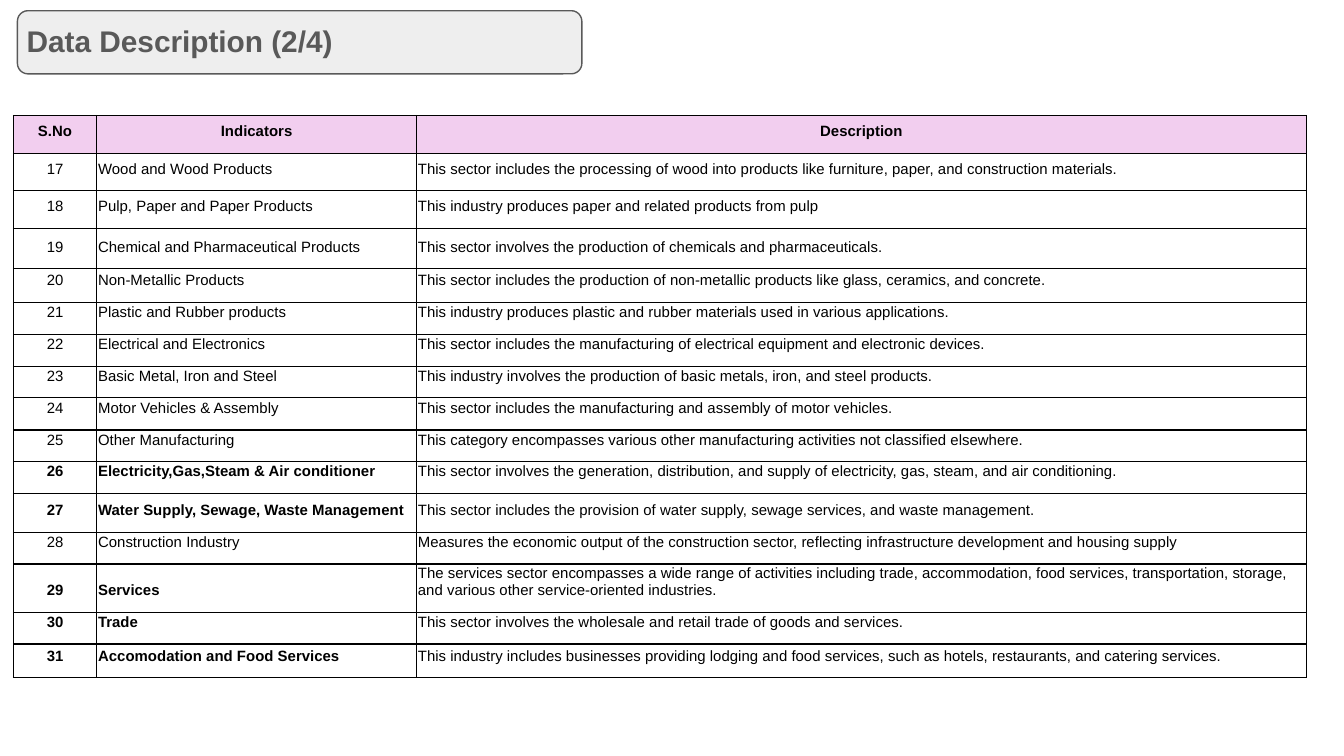
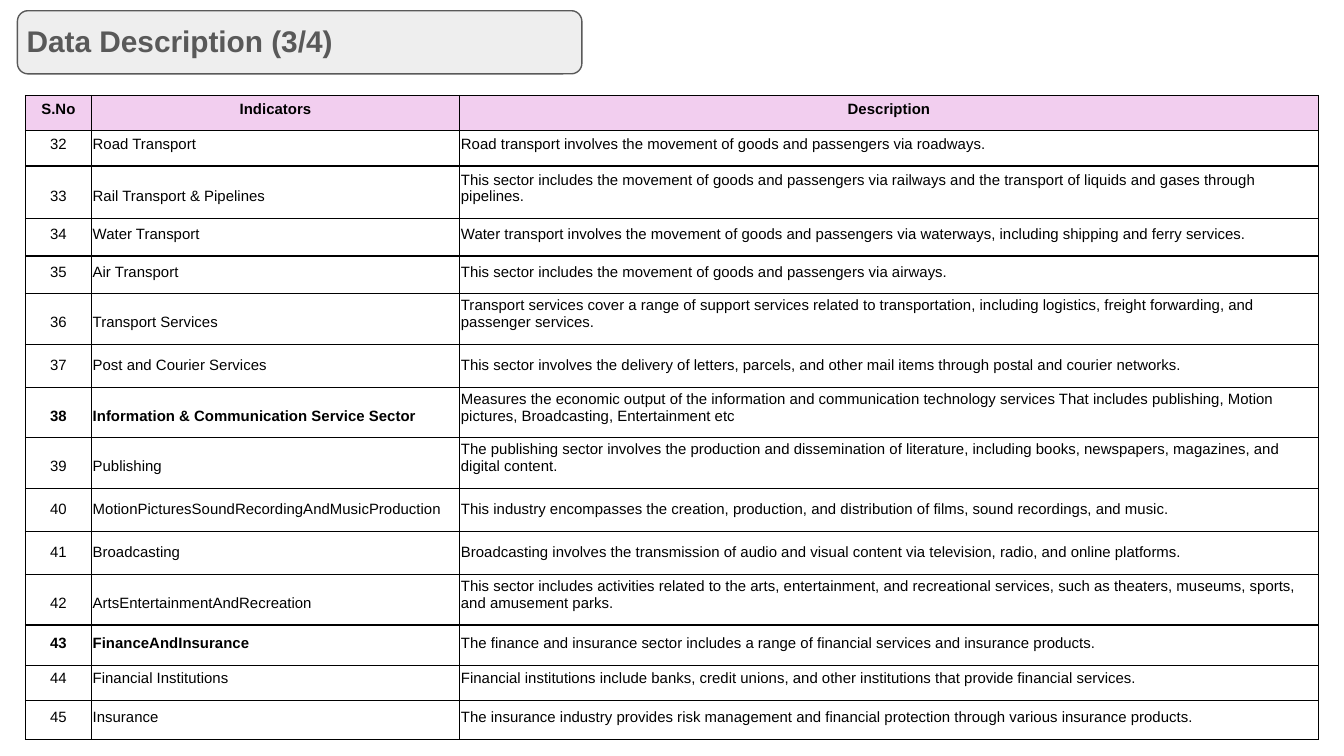
from lxml import etree
from pptx import Presentation
from pptx.dml.color import RGBColor
from pptx.enum import shapes, text
from pptx.oxml import ns
from pptx.util import Inches, Pt

FONT = "Arial"
BLACK, GREY, PANEL, PINK = "000000", "595959", "EEEEEE", "F2CEEF"
HEADINGS = ("S.No", "Indicators", "Description")
BOLD_NUMBERS = {26, 27, 29, 30, 31, 38, 43}

INDUSTRY = [
    ("Wood and Wood Products",
     "This sector includes the processing of wood into products like furniture, paper, "
     "and construction materials."),
    ("Pulp, Paper and Paper Products",
     "This industry produces paper and related products from pulp"),
    ("Chemical and Pharmaceutical Products",
     "This sector involves the production of chemicals and pharmaceuticals."),
    ("Non-Metallic Products",
     "This sector includes the production of non-metallic products like glass, ceramics, "
     "and concrete."),
    ("Plastic and Rubber products",
     "This industry produces plastic and rubber materials used in various applications."),
    ("Electrical and Electronics",
     "This sector includes the manufacturing of electrical equipment and electronic devices."),
    ("Basic Metal, Iron and Steel",
     "This industry involves the production of basic metals, iron, and steel products."),
    ("Motor Vehicles & Assembly",
     "This sector includes the manufacturing and assembly of motor vehicles."),
    ("Other Manufacturing",
     "This category encompasses various other manufacturing activities not classified "
     "elsewhere."),
    ("Electricity,Gas,Steam & Air conditioner",
     "This sector involves the generation, distribution, and supply of electricity, gas, "
     "steam, and air conditioning."),
    ("Water Supply, Sewage, Waste Management",
     "This sector includes the provision of water supply, sewage services, and waste "
     "management."),
    ("Construction Industry",
     "Measures the economic output of the construction sector, reflecting infrastructure "
     "development and housing supply"),
    ("Services",
     "The services sector encompasses a wide range of activities including trade, "
     "accommodation, food services, transportation, storage, and various other "
     "service-oriented industries."),
    ("Trade",
     "This sector involves the wholesale and retail trade of goods and services."),
    ("Accomodation and Food Services",
     "This industry includes businesses providing lodging and food services, such as "
     "hotels, restaurants, and catering services."),
]
INDUSTRY_HEIGHTS = [0.28, 0.28, 0.28, 0.3, 0.25, 0.24, 0.21, 0.2, 0.24, 0.21, 0.18,
                    0.29, 0.21, 0.31, 0.19, 0.25]

SERVICES = [
    ("Road Transport",
     "Road transport involves the movement of goods and passengers via roadways."),
    ("Rail Transport & Pipelines",
     "This sector includes the movement of goods and passengers via railways and the "
     "transport of liquids and gases through pipelines."),
    ("Water Transport",
     "Water transport involves the movement of goods and passengers via waterways, "
     "including shipping and ferry services."),
    ("Air Transport",
     "This sector includes the movement of goods and passengers via airways."),
    ("Transport Services",
     "Transport services cover a range of support services related to transportation, "
     "including logistics, freight forwarding, and passenger services."),
    ("Post and Courier Services",
     "This sector involves the delivery of letters, parcels, and other mail items through "
     "postal and courier networks."),
    ("Information & Communication Service Sector",
     "Measures the economic output of the information and communication technology "
     "services That includes publishing, Motion pictures, Broadcasting, Entertainment etc"),
    ("Publishing",
     "The publishing sector involves the production and dissemination of literature, "
     "including books, newspapers, magazines, and digital content."),
    ("MotionPicturesSoundRecordingAndMusicProduction",
     "This industry encompasses the creation, production, and distribution of films, "
     "sound recordings, and music."),
    ("Broadcasting",
     "Broadcasting involves the transmission of audio and visual content via television, "
     "radio, and online platforms."),
    ("ArtsEntertainmentAndRecreation",
     "This sector includes activities related to the arts, entertainment, and recreational "
     "services, such as theaters, museums, sports, and amusement parks."),
    ("FinanceAndInsurance",
     "The finance and insurance sector includes a range of financial services and "
     "insurance products."),
    ("Financial Institutions",
     "Financial institutions include banks, credit unions, and other institutions that "
     "provide financial services."),
    ("Insurance",
     "The insurance industry provides risk management and financial protection through "
     "various insurance products."),
]
SERVICES_HEIGHTS = [0.11, 0.11, 0.39, 0.28, 0.28, 0.34, 0.32, 0.34, 0.36, 0.32, 0.32,
                    0.34, 0.3, 0.25, 0.29]


def rgb(color):
    return RGBColor.from_string(color)


def set_font(p, size, color, bold):
    p.font.name = FONT
    p.font.size = Pt(size)
    p.font.bold = bold
    p.font.color.rgb = rgb(color)


def add_title(s, title):
    panel = s.shapes.add_shape(shapes.MSO_SHAPE.ROUNDED_RECTANGLE, Inches(0.13),
                               Inches(0.08), Inches(4.2), Inches(0.47))
    panel.shadow.inherit = False
    panel.fill.solid()
    panel.fill.fore_color.rgb = rgb(PANEL)
    panel.line.color.rgb = rgb(GREY)
    panel.line.width = Pt(0.75)

    box = s.shapes.add_textbox(Inches(0.1), Inches(0.07), Inches(4.23), Inches(0.47))
    tf = box.text_frame
    tf.word_wrap = True
    tf.auto_size = text.MSO_AUTO_SIZE.SHAPE_TO_FIT_TEXT
    tf.margin_left = tf.margin_right = tf.margin_top = tf.margin_bottom = Inches(0.1)
    p = tf.paragraphs[0]
    p.text = title
    set_font(p, 16, GREY, True)


def add_borders(cell):
    tc_pr = cell._tc.get_or_add_tcPr()
    for side in ("lnL", "lnR", "lnT", "lnB"):
        ln = etree.SubElement(tc_pr, ns.qn(f"a:{side}"), w=str(Pt(0.75)))
        fill = etree.SubElement(ln, ns.qn("a:solidFill"))
        etree.SubElement(fill, ns.qn("a:srgbClr"), val=BLACK)


def fill_cell(cell, value, bold=False, centred=False, spacing=None, fill=None):
    cell.margin_left = cell.margin_right = cell.margin_top = Inches(0.01)
    cell.margin_bottom = Inches(0.1)
    cell.vertical_anchor = text.MSO_ANCHOR.BOTTOM
    add_borders(cell)
    if fill:
        cell.fill.solid()
        cell.fill.fore_color.rgb = rgb(fill)
    else:
        cell.fill.background()
    p = cell.text_frame.paragraphs[0]
    p.text = value
    p.alignment = text.PP_ALIGN.CENTER if centred else text.PP_ALIGN.LEFT
    if spacing:
        p.line_spacing = spacing
    set_font(p, 8, BLACK, bold)


def add_indicator_table(s, left, top, widths, heights, indicators, first_number,
                        number_spacing=None):
    """Add a bordered table whose rows are numbered from first_number."""
    table = s.shapes.add_table(len(heights), len(widths), Inches(left), Inches(top),
                               Inches(sum(widths)), Inches(sum(heights))).table
    table.first_row = table.horz_banding = False
    for column, width in zip(table.columns, widths):
        column.width = Inches(width)
    for row, height in zip(table.rows, heights):
        row.height = Inches(height)

    for col, heading in enumerate(HEADINGS):
        fill_cell(table.cell(0, col), heading, True, True, 1.15, PINK)
    for row, (indicator, description) in enumerate(indicators, 1):
        number = first_number + row - 1
        bold = number in BOLD_NUMBERS
        fill_cell(table.cell(row, 0), str(number), bold, True, number_spacing)
        fill_cell(table.cell(row, 1), indicator, bold)
        fill_cell(table.cell(row, 2), description)


def main():
    prs = Presentation()
    prs.slide_width = Inches(10)
    prs.slide_height = Inches(10) * 9 // 16
    blank = prs.slide_layouts[6]

    s = prs.slides.add_slide(blank)
    add_indicator_table(s, 0.1, 0.86, (0.62, 2.38, 6.62), INDUSTRY_HEIGHTS, INDUSTRY, 17)
    add_title(s, "Data Description (2/4)")

    s = prs.slides.add_slide(blank)
    add_title(s, "Data Description (3/4)")
    add_indicator_table(s, 0.19, 0.71, (0.49, 2.74, 6.39), SERVICES_HEIGHTS, SERVICES, 32,
                        number_spacing=1.15)

    prs.save("out.pptx")


if __name__ == "__main__":
    main()
